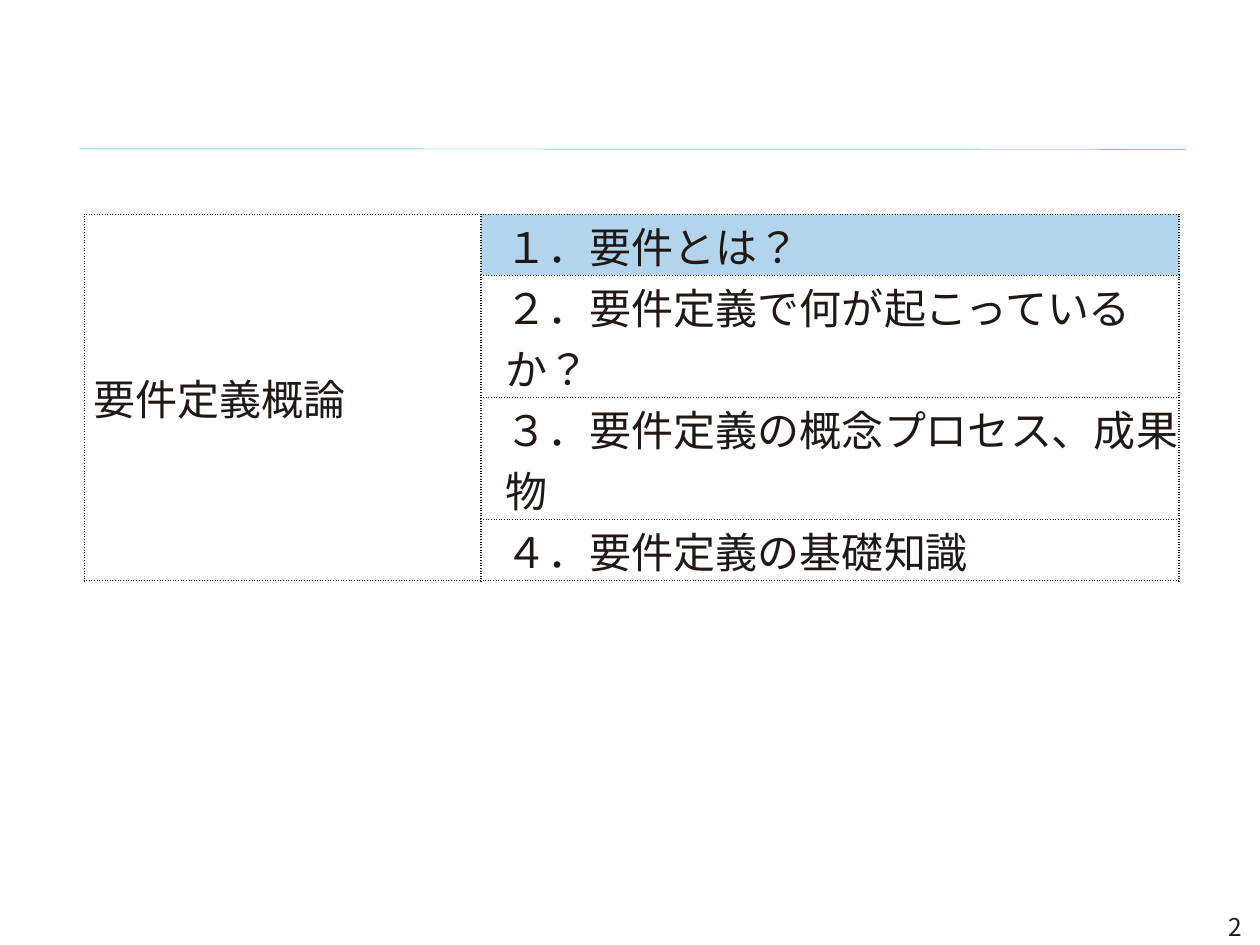
"""Build the requirements definition agenda slide."""
from dataclasses import dataclass

from lxml.etree import SubElement
from pptx import Presentation
from pptx.dml.color import RGBColor
from pptx.enum.lang import MSO_LANGUAGE_ID
from pptx.enum.shapes import MSO_CONNECTOR
from pptx.enum.text import MSO_ANCHOR, PP_ALIGN
from pptx.oxml.ns import qn
from pptx.util import Cm, Pt

FONT_NAME = "Noto Sans CJK JP"
INK = RGBColor(0x20, 0x18, 0x15)
TEAL = RGBColor(0x1B, 0xAD, 0xBD)
HIGHLIGHT = RGBColor(0xB2, 0xD5, 0xED)
WHITE = RGBColor(0xFF, 0xFF, 0xFF)
NO_STYLE = "{2D5ABB26-0587-4C30-8999-92F81FD0307C}"
COLUMN_WIDTHS = (Cm(8), Cm(14.07))
LINE_HEIGHT = Cm(1.23)


@dataclass(frozen=True)
class Topic:
    text: str
    line_count: int = 1
    fill: RGBColor = WHITE


COURSE = "要件定義概論"
TOPICS = (
    Topic("１．要件とは？", fill=HIGHLIGHT),
    Topic("２．要件定義で何が起こっているか？", line_count=2),
    Topic("３．要件定義の概念プロセス、成果物", line_count=2),
    Topic("４．要件定義の基礎知識"),
)


def format_paragraph(paragraph, size: int) -> None:
    font = paragraph.font
    font.size = Pt(size)
    font.bold = False
    font.color.rgb = INK
    font.name = FONT_NAME
    properties = paragraph._p.get_or_add_pPr().find(qn("a:defRPr"))
    SubElement(properties, qn("a:ea"), typeface=FONT_NAME)
    for run in paragraph.runs:
        run.font.language_id = MSO_LANGUAGE_ID.JAPANESE


def add_borders(cell) -> None:
    properties = cell._tc.get_or_add_tcPr()
    for side in ("a:lnL", "a:lnR", "a:lnT", "a:lnB"):
        line = SubElement(properties, qn(side), w=str(Pt(1)))
        fill = SubElement(line, qn("a:solidFill"))
        SubElement(fill, qn("a:srgbClr"), val=str(INK))
        SubElement(line, qn("a:prstDash"), val="sysDot")


def write_cell(cell, text: str, left_margin: Cm) -> None:
    cell.text = text
    cell.vertical_anchor = MSO_ANCHOR.MIDDLE
    cell.margin_left = left_margin
    cell.margin_right = cell.margin_top = cell.margin_bottom = 0
    format_paragraph(cell.text_frame.paragraphs[0], 24)


def add_agenda(slide) -> None:
    row_count = len(TOPICS)
    height = LINE_HEIGHT * sum(topic.line_count for topic in TOPICS)
    table = slide.shapes.add_table(
        row_count, 2, Cm(1.7), Cm(4.32), sum(COLUMN_WIDTHS), height
    ).table
    table.first_row = table.horz_banding = False
    table._tbl.tblPr.find(qn("a:tableStyleId")).text = NO_STYLE
    for column, width in zip(table.columns, COLUMN_WIDTHS):
        column.width = width
    for cell in table.iter_cells():
        add_borders(cell)
        cell.fill.background()
    table.cell(0, 0).merge(table.cell(row_count - 1, 0))
    write_cell(table.cell(0, 0), COURSE, Cm(0.19))
    for index, topic in enumerate(TOPICS):
        table.rows[index].height = LINE_HEIGHT * topic.line_count
        cell = table.cell(index, 1)
        write_cell(cell, topic.text, Cm(0.5))
        cell.fill.solid()
        cell.fill.fore_color.rgb = topic.fill


def add_title_rule(slide) -> None:
    rule = slide.shapes.add_connector(
        MSO_CONNECTOR.STRAIGHT, Cm(1.6), Cm(3), Cm(23.9), Cm(3.01)
    )
    rule.line.color.rgb = TEAL
    rule.line.width = Pt(0.25)
    SubElement(rule._element.spPr, qn("a:effectLst"))


def add_page_number(slide, number: int) -> None:
    box = slide.shapes.add_textbox(Cm(21.77), Cm(18.29), Cm(3.53), Cm(0.79))
    frame = box.text_frame
    frame.word_wrap = True
    frame.vertical_anchor = MSO_ANCHOR.MIDDLE
    frame.margin_top = frame.margin_bottom = 0
    frame.text = str(number)
    paragraph = frame.paragraphs[0]
    paragraph.alignment = PP_ALIGN.RIGHT
    format_paragraph(paragraph, 14)


def main() -> None:
    presentation = Presentation()
    presentation.slide_width = Cm(25.4)
    presentation.slide_height = Cm(19.05)
    slide = presentation.slides.add_slide(presentation.slide_layouts[6])
    add_title_rule(slide)
    add_page_number(slide, 2)
    add_agenda(slide)
    presentation.save("out.pptx")


if __name__ == "__main__":
    main()
